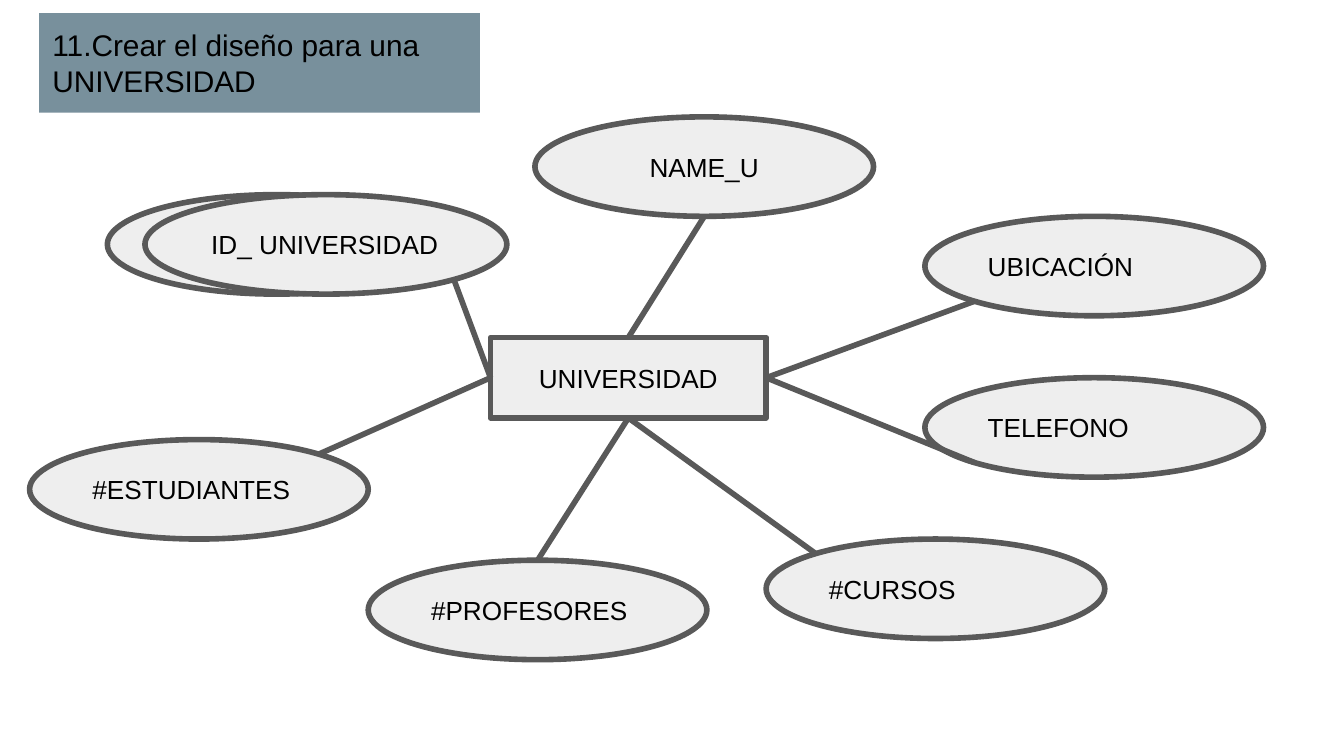
import collections
import math

import pptx
import pptx.dml.color
import pptx.enum.shapes
import pptx.enum.text
import pptx.oxml.ns
import pptx.util
from lxml import etree

Cm = pptx.util.Cm
Pt = pptx.util.Pt
RGBColor = pptx.dml.color.RGBColor
MSO_SHAPE = pptx.enum.shapes.MSO_SHAPE
PP_ALIGN = pptx.enum.text.PP_ALIGN
MSO_ANCHOR = pptx.enum.text.MSO_ANCHOR

Theme = collections.namedtuple(
    "Theme", "font text banner fill line line_width title_size label_size"
)
theme = Theme(
    font="Arial",
    text=RGBColor(0x00, 0x00, 0x00),
    banner=RGBColor(0x78, 0x90, 0x9C),
    fill=RGBColor(0xEE, 0xEE, 0xEE),
    line=RGBColor(0x59, 0x59, 0x59),
    line_width=Pt(3),
    title_size=Pt(16),
    label_size=Pt(14),
)


def write_text(shape, text, size, alignment, anchor):
    frame = shape.text_frame
    frame.text = text
    frame.word_wrap = True
    frame.vertical_anchor = anchor
    frame.margin_left = frame.margin_right = Cm(0.25)
    frame.margin_top = frame.margin_bottom = Cm(0.25)
    paragraph = frame.paragraphs[0]
    paragraph.alignment = alignment
    for run in paragraph.runs:
        run.font.name = theme.font
        run.font.size = size
        run.font.color.rgb = theme.text


def add_node(kind, left, top, width, height, text, alignment):
    shape = slide.shapes.add_shape(kind, Cm(left), Cm(top), Cm(width), Cm(height))
    shape.shadow.inherit = False
    shape.fill.solid()
    shape.fill.fore_color.rgb = theme.fill
    shape.line.color.rgb = theme.line
    shape.line.width = theme.line_width
    if text:
        write_text(shape, text, theme.label_size, alignment, MSO_ANCHOR.MIDDLE)
    return shape


presentation = pptx.Presentation()
presentation.slide_width = Cm(25.4)
presentation.slide_height = Cm(14.29)
slide = presentation.slides.add_slide(presentation.slide_layouts[5])

title = slide.shapes.title
title.left, title.top, title.width, title.height = Cm(0.74), Cm(0.25), Cm(8.33), Cm(1.88)
title.fill.solid()
title.fill.fore_color.rgb = theme.banner
write_text(title, "11.Crear el diseño para una UNIVERSIDAD", theme.title_size,
           PP_ALIGN.LEFT, MSO_ANCHOR.TOP)
title.text_frame.auto_size = pptx.enum.text.MSO_AUTO_SIZE.NONE

entity = add_node(MSO_SHAPE.RECTANGLE, 9.27, 6.38, 5.21, 1.52, "UNIVERSIDAD", PP_ALIGN.CENTER)
entity_middle = entity.left + entity.width // 2
entity_center = entity.top + entity.height // 2
entity_sides = {
    "top": (entity_middle, entity.top),
    "left": (entity.left, entity_center),
    "bottom": (entity_middle, entity.top + entity.height),
    "right": (entity.left + entity.width, entity_center),
}

oval_width, oval_height = 6.4, 1.88
add_node(MSO_SHAPE.OVAL, 2.03, 3.68, oval_width, oval_height, "", PP_ALIGN.LEFT)

attributes = [
    ("TELEFONO", 17.48, 7.14, oval_width, PP_ALIGN.LEFT, 135, "right"),
    ("UBICACIÓN", 17.48, 4.09, oval_width, PP_ALIGN.LEFT, 135, "right"),
    ("NAME_U", 10.11, 2.21, oval_width, PP_ALIGN.CENTER, 90, "top"),
    ("#PROFESORES", 6.96, 10.59, oval_width, PP_ALIGN.LEFT, 270, "bottom"),
    ("#CURSOS", 14.48, 10.19, oval_width, PP_ALIGN.LEFT, 225, "bottom"),
    ("#ESTUDIANTES", 0.56, 8.31, oval_width, PP_ALIGN.LEFT, 315, "left"),
    ("ID_ UNIVERSIDAD", 2.74, 3.68, 6.84, PP_ALIGN.LEFT, 45, "left"),
]

links = []
for text, left, top, width, alignment, angle, side in attributes:
    oval = add_node(MSO_SHAPE.OVAL, left, top, width, oval_height, text, alignment)
    radians = math.radians(angle)
    start_x = oval.left + round(oval.width / 2 * (1 + math.cos(radians)))
    start_y = oval.top + round(oval.height / 2 * (1 + math.sin(radians)))
    links.append((start_x, start_y, *entity_sides[side]))

for link in links:
    connector = slide.shapes.add_connector(pptx.enum.shapes.MSO_CONNECTOR.STRAIGHT, *link)
    connector.line.color.rgb = theme.line
    connector.line.width = theme.line_width
    properties = connector._element.spPr
    etree.SubElement(properties, pptx.oxml.ns.qn("a:effectLst"))

presentation.save("out.pptx")
